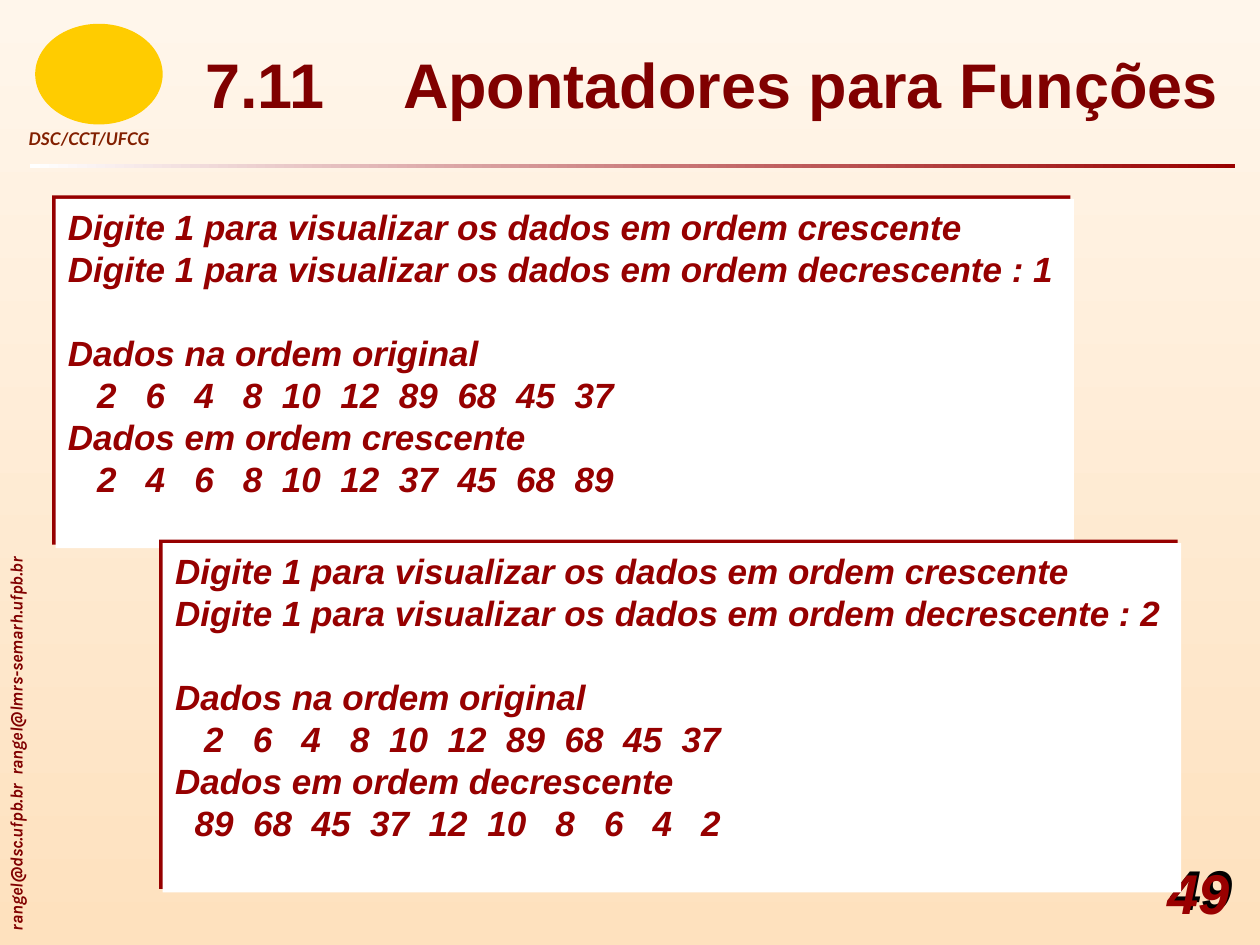
from dataclasses import dataclass
from itertools import accumulate

from lxml.etree import SubElement
from pptx import Presentation
from pptx.dml.color import RGBColor
from pptx.enum.shapes import MSO_SHAPE
from pptx.enum.text import MSO_ANCHOR, PP_ALIGN
from pptx.oxml.ns import qn
from pptx.util import Cm, Pt

COLORS = {
    "bg_top": "FFF6EB", "bg_bottom": "FEE1BE", "white": "FFFFFF", "black": "000000",
    "rule": "990000", "title": "800000", "dept": "821F00", "panel": "960000",
    "emblem": "FFCC00",
}
LINE_PITCH = Pt(24)
DIGIT_STEPS = {1: 0.98, 2: 1.18}  # cm taken by a number of one or two digits


@dataclass
class Box:
    left: float
    top: float
    width: float
    height: float

    def lengths(self) -> list:
        return [Cm(v) for v in (self.left, self.top, self.width, self.height)]


@dataclass
class Panel:
    box: Box
    choice: int
    order: str
    result: list


def rgb(name: str) -> RGBColor:
    return RGBColor.from_string(COLORS[name])


def set_gradient(fill, start: str, end: str, angle: int) -> None:
    fill.gradient()
    fill.gradient_angle = angle
    for stop, name in zip(fill.gradient_stops, (start, end)):
        stop.color.rgb = rgb(name)


def set_font(font, color: str, **values) -> None:
    for key, value in values.items():
        setattr(font, key, value)
    font.color.rgb = rgb(color)


def set_frame(tf, margins: tuple, wrap: bool = True) -> None:
    sides = ("left", "top", "right", "bottom")
    for side, value in zip(sides, margins):
        setattr(tf, f"margin_{side}", Cm(value))
    tf.word_wrap = wrap


def add_shadow(sp, color: str, degrees: int) -> None:
    effects = sp._element.spPr.find(qn("a:effectLst"))
    if effects is None:
        effects = SubElement(sp._element.spPr, qn("a:effectLst"))
    shadow = SubElement(effects, qn("a:outerShdw"), dist=str(Pt(2.8)),
                        dir=str(degrees * 60000), algn="ctr", rotWithShape="0")
    SubElement(shadow, qn("a:srgbClr"), val=COLORS[color])


def add_label(s, box: Box, text: str, color: str, margins: tuple = (0, 0, 0, 0),
              align=PP_ALIGN.LEFT, **font):
    sp = s.shapes.add_textbox(*box.lengths())
    set_frame(sp.text_frame, margins)
    p = sp.text_frame.paragraphs[0]
    p.alignment = align
    r = p.add_run()
    r.text = text
    set_font(r.font, color, bold=True, italic=True, **font)
    return sp


def add_plain(s, kind, box: Box, color: str):
    sp = s.shapes.add_shape(kind, *box.lengths())
    sp.shadow.inherit = False
    sp.fill.solid()
    sp.fill.fore_color.rgb = rgb(color)
    sp.line.fill.background()
    return sp


def add_number_tabs(p, numbers: list) -> None:
    """Right-align each number at the end of its own step."""
    tabs = SubElement(p._p.get_or_add_pPr(), qn("a:tabLst"))
    for pos in accumulate(DIGIT_STEPS[len(str(n))] for n in numbers):
        SubElement(tabs, qn("a:tab"), pos=str(Cm(pos)), algn="r")


def add_panel(s, panel: Panel) -> None:
    sp = add_plain(s, MSO_SHAPE.RECTANGLE, panel.box, "white")
    add_shadow(sp, "panel", 225)
    tf = sp.text_frame
    set_frame(tf, (0.25, 0.13, 0.25, 0.13))
    tf.vertical_anchor = MSO_ANCHOR.TOP
    prompt = "Digite 1 para visualizar os dados em ordem"
    lines = [
        f"{prompt} crescente",
        f"{prompt} decrescente : {panel.choice}",
        "Dados na ordem original",
        ORIGINAL,
        f"Dados em ordem {panel.order}",
        panel.result,
    ]
    for i, line in enumerate(lines):
        p = tf.paragraphs[0] if i == 0 else tf.add_paragraph()
        p.alignment = PP_ALIGN.LEFT
        p.line_spacing = LINE_PITCH
        if i == 2:  # gap between the prompt and the data
            p.space_before = LINE_PITCH
        if isinstance(line, list):
            add_number_tabs(p, line)
            line = "".join(f"\t{n}" for n in line)
        r = p.add_run()
        r.text = line
        set_font(r.font, "panel", name="Arial", size=Pt(20), bold=True, italic=True)


ORIGINAL = [2, 6, 4, 8, 10, 12, 89, 68, 45, 37]
PANELS = [
    Panel(Box(1.12, 4.01, 20.53, 7.04), 1, "crescente", sorted(ORIGINAL)),
    Panel(Box(3.28, 10.95, 20.53, 7.04), 2, "decrescente", sorted(ORIGINAL, reverse=True)),
]


def main() -> None:
    prs = Presentation()
    prs.slide_width, prs.slide_height = Cm(25.4), Cm(19.05)
    s = prs.slides.add_slide(prs.slide_layouts[5])
    set_gradient(s.background.fill, "bg_top", "bg_bottom", 270)

    # Title
    title = s.shapes.title
    title.left, title.top, title.width, title.height = Box(3.3, 0, 22.1, 3.35).lengths()
    tf = title.text_frame
    set_frame(tf, (0.25, 0.13, 0.25, 0.13))
    tf.vertical_anchor = MSO_ANCHOR.MIDDLE
    p = tf.paragraphs[0]
    p.alignment = PP_ALIGN.CENTER
    pPr = p._p.get_or_add_pPr()
    pPr.set("marL", str(Cm(3.99)))
    pPr.set("indent", str(-Cm(3.99)))
    r = p.add_run()
    r.text = "7.11\tApontadores para Funções"
    set_font(r.font, "title", name="Arial", size=Pt(36), bold=True)

    # Header rule, emblem and department
    rule = add_plain(s, MSO_SHAPE.RECTANGLE, Box(0.61, 3.3, 24.28, 0.08), "rule")
    set_gradient(rule.fill, "white", "rule", 0)
    add_plain(s, MSO_SHAPE.OVAL, Box(0.71, 0.48, 2.57, 2.03), "emblem")
    add_label(s, Box(0.58, 2.59, 2.82, 0.53), "DSC/CCT/UFCG", "dept",
              name="Lato", size=Pt(10))

    # Contact along the left edge
    contact = add_label(s, Box(-5.61, 12.75, 11.86, 0.69),
                        "rangel@dsc.ufpb.br  rangel@lmrs-semarh.ufpb.br", "title",
                        margins=(0.25, 0.13, 0.25, 0.13), name="Karla", size=Pt(10))
    contact.rotation = 270

    # Page number
    number = add_label(s, Box(22.89, 17.3, 1.9, 1.35), "49", "rule",
                       align=PP_ALIGN.RIGHT, name="Arial", size=Pt(32))
    add_shadow(number, "black", 315)

    # Program output
    for panel in PANELS:
        add_panel(s, panel)

    prs.save("out.pptx")


if __name__ == "__main__":
    main()
